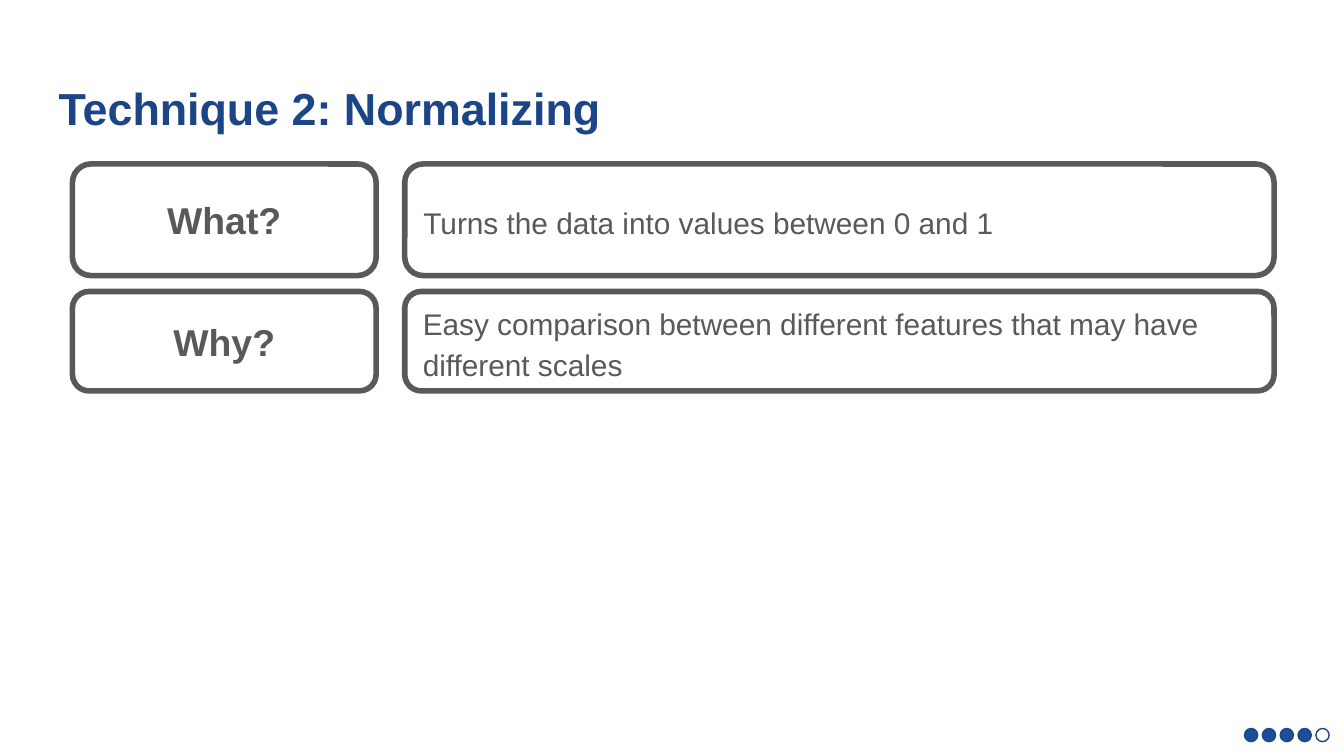
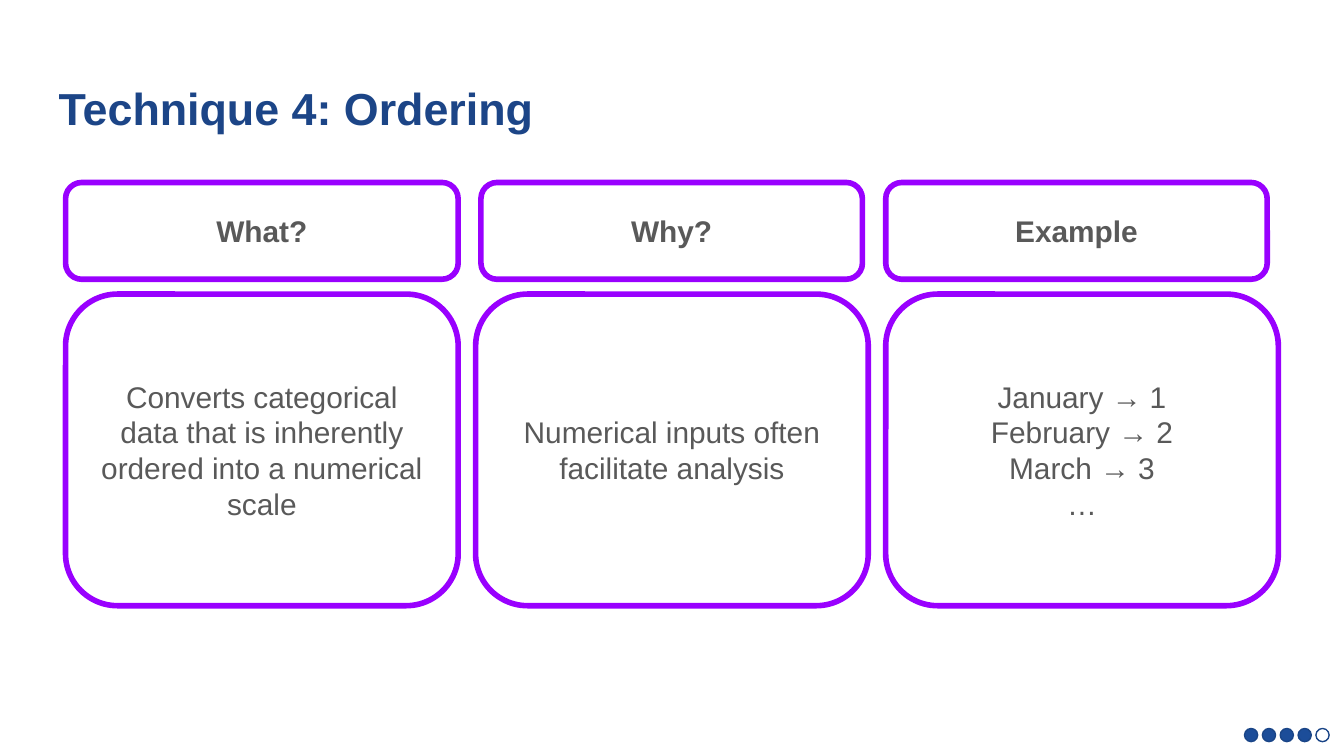
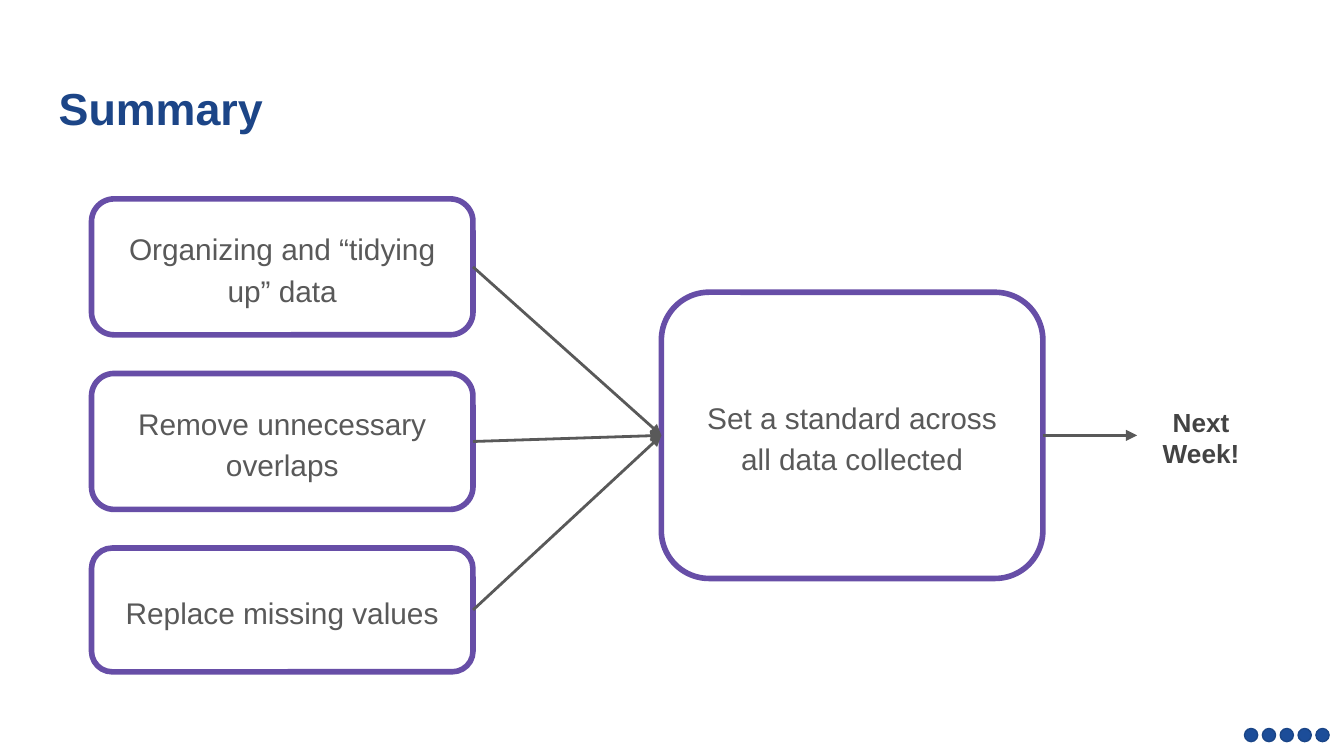
from lxml.etree import SubElement
from pptx import Presentation
from pptx.dml.color import RGBColor
from pptx.enum.shapes import MSO_CONNECTOR, MSO_SHAPE
from pptx.enum.text import MSO_ANCHOR, PP_ALIGN
from pptx.oxml.ns import qn
from pptx.util import Cm, Pt

HUES = {
    "title": "1C4587",
    "ring": "1A4587",
    "dot": "1C4D99",
    "gray": "595959",
    "dark": "434343",
    "violet": "9900FF",
    "plum": "674EA7",
}
FONT = "Arial"
INSET = 0.25
TITLE = (0.86, 1.24, 23.67, 1.6)
DOTS = (23.52, 13.77, 1.6, 0.25)
COUNT = 5


def hue(name):
    return RGBColor.from_string(HUES[name])


def write(shape, text, size, tone="gray", bold=False, align=PP_ALIGN.CENTER,
          space=1.0, anchor=MSO_ANCHOR.MIDDLE):
    frame = shape.text_frame
    frame.word_wrap = True
    frame.vertical_anchor = anchor
    frame.margin_left = frame.margin_right = Cm(INSET)
    frame.margin_top = frame.margin_bottom = Cm(INSET)
    frame.text = text
    for para in frame.paragraphs:
        para.alignment = align
        para.line_spacing = space
        for run in para.runs:
            run.font.name = FONT
            run.font.size = Pt(size)
            run.font.bold = bold
            run.font.color.rgb = hue(tone)


def draw(slide, kind, box, line, weight, fill=None):
    shape = slide.shapes.add_shape(kind, *map(Cm, box))
    shape.shadow.inherit = False
    shape.line.color.rgb = hue(line)
    shape.line.width = Pt(weight)
    if fill:
        shape.fill.solid()
        shape.fill.fore_color.rgb = hue(fill)
    else:
        shape.fill.background()
    return shape


def card(slide, box, line, text, size=16, **style):
    """Draw a rounded outline with text and return it."""
    shape = draw(slide, MSO_SHAPE.ROUNDED_RECTANGLE, box, line, 3)
    write(shape, text, size, **style)
    return shape


def label(slide, box, text, size, **style):
    write(slide.shapes.add_textbox(*map(Cm, box)), text, size, **style)


def arrow(slide, start, end):
    """Draw an arrow; each end is a (shape, site) pair or a (x, y) point in cm."""
    link = slide.shapes.add_connector(MSO_CONNECTOR.STRAIGHT, 0, 0, 0, 0)
    link.begin_connect(*start)
    if isinstance(end[0], float):
        link.end_x, link.end_y = map(Cm, end)
    else:
        link.end_connect(*end)
    link.line.color.rgb = hue("gray")
    link.line.width = Pt(1.5)
    SubElement(link.line._get_or_add_ln(), qn("a:tailEnd"), type="triangle")
    SubElement(link._element.spPr, qn("a:effectLst"))


def track(slide, box, done):
    """Show progress as a row of dots, the first ones filled."""
    left, top, width, size = box
    step = (width - size) / (COUNT - 1)
    for i in range(COUNT):
        draw(slide, MSO_SHAPE.OVAL, (left + i * step, top, size, size),
             "ring", 0.75, "dot" if i < done else None)


def start(deck, title, done):
    """Add a slide with the shared title and progress dots."""
    slide = deck.slides.add_slide(deck.slide_layouts[6])
    label(slide, TITLE, title, 24, tone="title", bold=True, align=PP_ALIGN.LEFT)
    track(slide, DOTS, done)
    return slide


def rows(slide, box, items):
    """Stack rows of a short head and a wide body."""
    left, top, width, _ = box
    head, gap, space = 5.74, 0.54, 0.3
    for name, text, height in items:
        card(slide, (left, top, head, height), "gray", name, 20, bold=True)
        card(slide, (left + head + gap, top, width - head - gap, height),
             "gray", text, align=PP_ALIGN.LEFT, space=1.15)
        top += height + space


def columns(slide, box, items):
    """Set equal columns of a head over a tall body."""
    left, top, width, height = box
    head, space, gap = 1.83, 0.28, 0.33
    wide = (width - gap * (len(items) - 1)) / len(items)
    for i, (name, text, shift, span) in enumerate(items):
        x = left + i * (wide + gap)
        card(slide, (x + shift, top, span, head), "violet", name, bold=True)
        card(slide, (x, top + head + space, wide, height - head - space),
             "violet", text)


def flow(slide, box, steps, goal, after):
    """Lead a stack of steps into one goal, and on to what comes after."""
    left, top, width, height = box
    wide, tall, space = 7.21, 5.41, 0.73
    mid = top + height / 2
    x = left + 10.77
    hub = card(slide, (x, mid - tall / 2, wide, tall), "plum", goal, space=1.15)
    for text, high in steps:
        step = card(slide, (left, top, wide, high), "plum", text, space=1.15)
        arrow(slide, (step, 3), (hub, 1))
        top += high + space
    arrow(slide, (hub, 3), (x + wide + 1.78, mid))
    span = 2.26
    label(slide, (left + width - span, mid - 0.8, span, 2.06), after, 14,
          tone="dark", bold=True, anchor=MSO_ANCHOR.TOP)


def main():
    deck = Presentation()
    deck.slide_width, deck.slide_height = Cm(25.4), Cm(14.29)

    slide = start(deck, "Technique 2: Normalizing", 4)
    rows(slide, (1.37, 3.1, 22.71, 4.29), [
        ("What?", "Turns the data into values between 0 and 1", 2.11),
        ("Why?", "Easy comparison between different features that may have "
                 "different scales", 1.88),
    ])

    slide = start(deck, "Technique 4: Ordering", 4)
    columns(slide, (1.24, 3.45, 22.92, 8.0), [
        ("What?", "Converts categorical data that is inherently ordered into "
                  "a numerical scale", 0, 7.42),
        ("Why?", "Numerical inputs often facilitate analysis", 0.1, 7.21),
        ("Example", "January → 1\nFebruary → 2\nMarch → 3\n…", 0, 7.21),
    ])

    slide = start(deck, "Summary", 5)
    flow(slide, (1.73, 3.76, 22.1, 8.94), [
        ("Organizing and “tidying up” data", 2.57),
        ("Remove unnecessary overlaps", 2.57),
        ("Replace missing values", 2.34),
    ], "Set a standard across all data collected", "Next Week!")

    deck.save("out.pptx")


if __name__ == "__main__":
    main()
